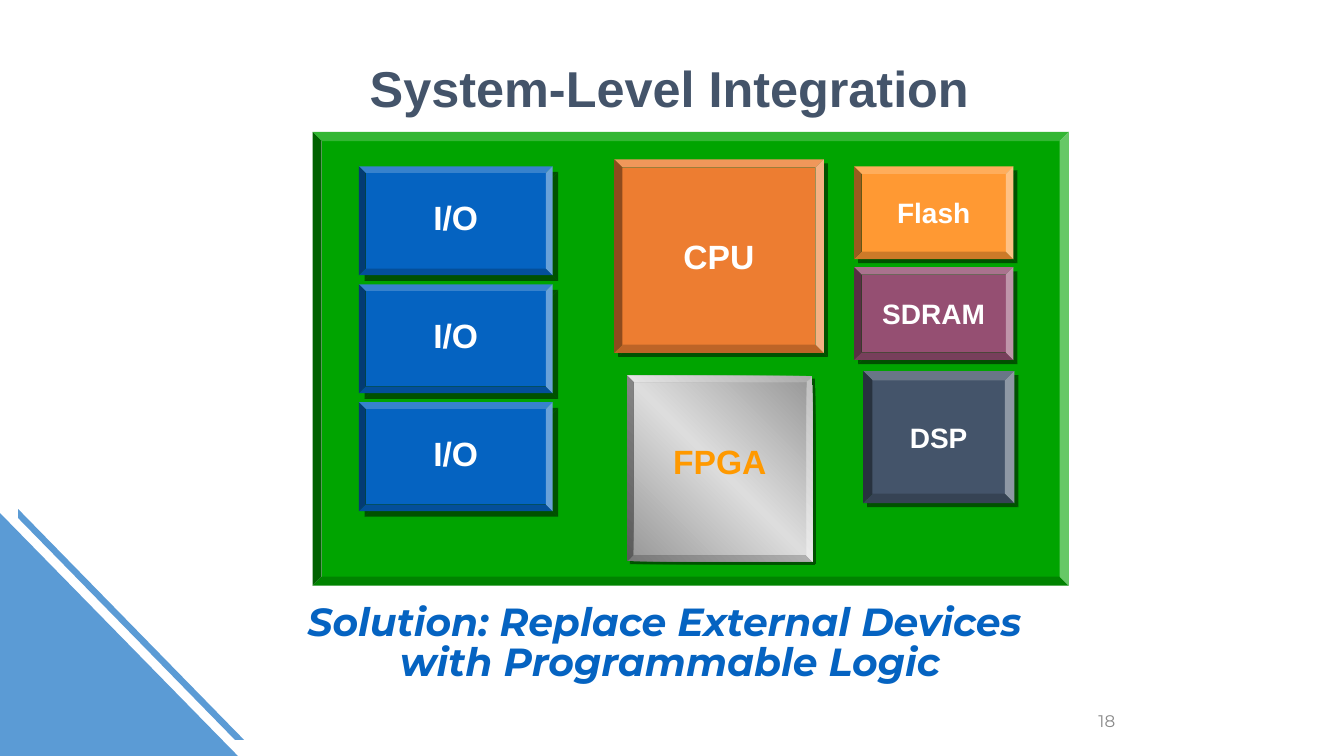
from lxml.etree import SubElement
from pptx import Presentation
from pptx.dml.color import RGBColor
from pptx.enum.shapes import MSO_SHAPE
from pptx.enum.text import MSO_ANCHOR, PP_ALIGN
from pptx.oxml.ns import qn
from pptx.util import Inches, Pt

THEME = {
    "board": "00A400", "flash": "FF9933", "sdram": "954F72", "cpu": "ED7D31",
    "dsp": "44546A", "io": "0563C1", "white": "FFFFFF", "black": "000000",
    "fpga_text": "FF9900", "number": "898989", "corner": "5B9BD5",
    "metal": [(0, "969696"), (50, "DDDDDD"), (100, "969696")],
    "label_font": "Arial", "body_font": "Montserrat",
    "title_size": 36, "solution_size": 28, "large": 24, "small": 20, "number_size": 12,
}

TITLE = ("System-Level Integration", (2.1, 0.52, 9.08, 0.7))
SOLUTION = ("Solution: Replace External Devices \vwith Programmable Logic", (2.73, 5.95, 7.83, 0.9))
NUMBER = ("18", (8.83, 6.95, 2.33, 0.4))
BOARD = (3.1, 1.31, 7.5, 4.5)
IO_TOP, IO_PITCH, IO_COUNT = 1.65, 1.17, 3

BLOCKS = [
    {"text": "Flash", "box": (8.47, 1.65, 1.58, 0.92), "fill": "flash", "edge": 0.081, "size": "small"},
    {"text": "SDRAM", "box": (8.47, 2.65, 1.58, 0.92), "fill": "sdram", "edge": 0.081, "size": "small"},
    {"text": "CPU", "box": (6.09, 1.58, 2.08, 1.92), "fill": "cpu", "edge": 0.043, "size": "large"},
    {"text": "DSP", "box": (8.56, 3.68, 1.5, 1.31), "fill": "dsp", "edge": 0.071, "size": "small"},
    {"text": "FPGA", "box": (6.22, 3.73, 1.84, 1.84), "fill": "metal", "edge": 0.033, "size": "large",
     "color": "fpga_text", "shadow": 2.8, "lift": 0.08},
] + [
    {"text": "I/O", "box": (3.56, IO_TOP + row * IO_PITCH, 1.92, 1.08), "fill": "io", "edge": 0.061,
     "size": "large", "shadow": 5.7, "lift": 0.04}
    for row in range(IO_COUNT)
]

CORNER = [
    [(0, 5.09), (2.36, 7.5), (0, 7.5)],
    [(0.18, 5.05), (2.42, 7.34), (2.33, 7.34), (0.18, 5.14)],
]


def color(name):
    return RGBColor.from_string(THEME[name])


def fill_metal(shape):
    shape.fill.gradient()
    gradient = shape._element.spPr.find(qn("a:gradFill"))
    stops = gradient.find(qn("a:gsLst"))
    for stop in list(stops):
        stops.remove(stop)
    for position, value in THEME["metal"]:
        stop = SubElement(stops, qn("a:gs"), pos=str(position * 1000))
        SubElement(stop, qn("a:srgbClr"), val=value)
    gradient.find(qn("a:lin")).set("ang", str(45 * 60000))


def add_shadow(shape, distance):
    effects = shape._element.spPr.find(qn("a:effectLst"))
    shadow = SubElement(effects, qn("a:outerShdw"), blurRad="0", dist=str(Pt(distance)),
                        dir=str(45 * 60000), algn="ctr", rotWithShape="0")
    tint = SubElement(shadow, qn("a:srgbClr"), val=THEME["black"])
    SubElement(tint, qn("a:alpha"), val="50000")


def add_bevel(slide, box, fill, edge):
    shape = slide.shapes.add_shape(MSO_SHAPE.BEVEL, *map(Inches, box))
    shape.adjustments[0] = edge
    shape.rotation = 180
    shape._element.spPr.xfrm.set("flipV", "1")
    shape.shadow.inherit = False
    shape.line.fill.background()
    if fill == "metal":
        fill_metal(shape)
    else:
        shape.fill.solid()
        shape.fill.fore_color.rgb = color(fill)
    return shape


def add_text(slide, text, box, size, fill, font="label_font", bold=True, italic=False,
             align=PP_ALIGN.CENTER, anchor=MSO_ANCHOR.MIDDLE, wrap=True, spacing=None):
    frame = slide.shapes.add_textbox(*map(Inches, box)).text_frame
    frame.word_wrap = wrap
    frame.vertical_anchor = anchor
    paragraph = frame.paragraphs[0]
    paragraph.text = text
    paragraph.alignment = align
    paragraph.line_spacing = spacing
    for run in paragraph.runs:
        run.font.name = THEME[font]
        run.font.size = Pt(THEME[size])
        run.font.bold = bold
        run.font.italic = italic
        run.font.color.rgb = color(fill)


def add_block(slide, block):
    shape = add_bevel(slide, block["box"], block["fill"], block["edge"])
    add_shadow(shape, block.get("shadow", 4.2))
    left, top, width, height = block["box"]
    label_box = (left, top - block.get("lift", 0), width, height)
    add_text(slide, block["text"], label_box, block["size"], block.get("color", "white"))


def add_corner(slide):
    outlines = [[(Inches(x), Inches(y)) for x, y in outline] for outline in CORNER]
    builder = slide.shapes.build_freeform(*outlines[0][0])
    builder.add_line_segments(outlines[0][1:], close=True)
    for outline in outlines[1:]:
        builder.move_to(*outline[0])
        builder.add_line_segments(outline[1:], close=True)
    shape = builder.convert_to_shape()
    shape.shadow.inherit = False
    shape.fill.solid()
    shape.fill.fore_color.rgb = color("corner")
    shape.line.fill.background()


def main():
    presentation = Presentation()
    presentation.slide_width = Inches(13.33)
    presentation.slide_height = Inches(7.5)
    slide = presentation.slides.add_slide(presentation.slide_layouts[6])
    add_text(slide, *NUMBER, "number_size", "number", font="body_font", bold=False, align=PP_ALIGN.RIGHT)
    add_bevel(slide, BOARD, "board", 0.02)
    for block in BLOCKS:
        add_block(slide, block)
    add_text(slide, *SOLUTION, "solution_size", "io", font="body_font", italic=True,
             anchor=MSO_ANCHOR.TOP, wrap=False, spacing=0.85)
    add_text(slide, *TITLE, "title_size", "dsp", anchor=MSO_ANCHOR.TOP)
    add_corner(slide)
    presentation.save("out.pptx")


if __name__ == "__main__":
    main()
